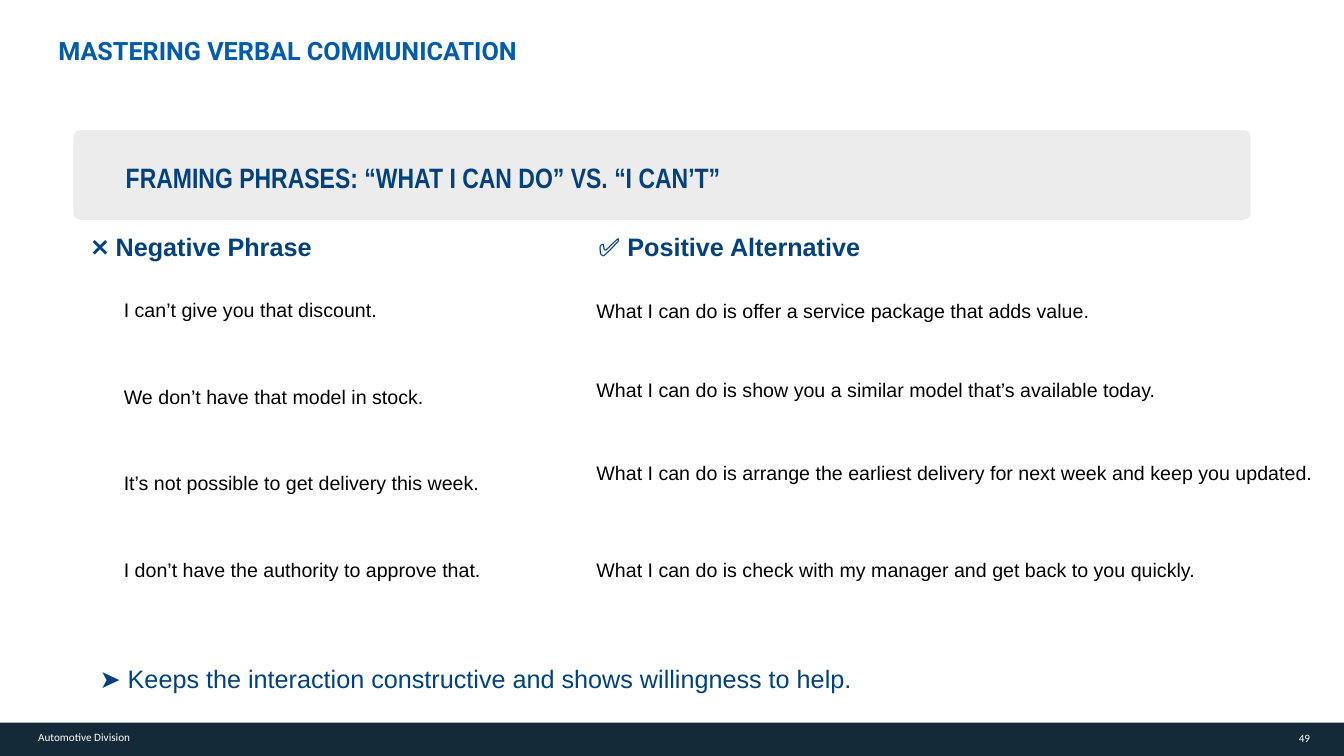
from dataclasses import dataclass

import pptx
import pptx.dml.color
import pptx.enum.shapes
import pptx.enum.text
import pptx.oxml.ns
import pptx.util
from lxml import etree

Cm = pptx.util.Cm
ANCHOR = pptx.enum.text.MSO_ANCHOR
ALIGN = pptx.enum.text.PP_ALIGN
SHAPES = pptx.enum.shapes.MSO_SHAPE


@dataclass(frozen=True)
class Style:
    """Font, size in points, colour and weight of a run."""
    font: str
    size: int
    color: str
    bold: bool = False


class Theme:
    """Colours and type styles of the slide."""
    footer_fill = "152A38"
    banner_fill = "808080"
    banner_opacity = 15
    title = Style("Roboto", 18, "005BAA", True)
    banner = Style("Arial Narrow", 20, "00417C", True)
    heading_mark = Style("Arial", 18, "00417C")
    heading = Style("Arial", 18, "00417C", True)
    phrase = Style("Arial", 14, "000000")
    takeaway = Style("Arial", 18, "00417C")
    footer = Style("Calibri", 8, "FFFFFF")


def rgb(color):
    """Turn a hex string into a colour."""
    return pptx.dml.color.RGBColor.from_string(color)


def add_runs(paragraph, runs):
    """Add (text, style) runs to a paragraph."""
    for text, style in runs:
        run = paragraph.add_run()
        run.text = text
        run.font.name = style.font
        run.font.size = pptx.util.Pt(style.size)
        run.font.bold = style.bold
        run.font.color.rgb = rgb(style.color)


def add_text(slide, box, text, style, anchor=ANCHOR.TOP, align=ALIGN.LEFT,
             inset=True, wrap=True):
    """Place one line of text in a box."""
    frame = slide.shapes.add_textbox(*map(Cm, box)).text_frame
    frame.word_wrap = wrap
    frame.vertical_anchor = anchor
    if not inset:
        frame.margin_left = frame.margin_right = 0
        frame.margin_top = frame.margin_bottom = 0
    frame.paragraphs[0].alignment = align
    add_runs(frame.paragraphs[0], [(text, style)])


def add_panel(slide, box, preset, color):
    """Place a plain filled shape."""
    panel = slide.shapes.add_shape(preset, *map(Cm, box))
    panel.shadow.inherit = False
    panel.fill.solid()
    panel.fill.fore_color.rgb = rgb(color)
    panel.line.fill.background()
    return panel


def add_column(slide, left, top, width, heights, rows, inset):
    """Place a one-column table without fills, with (across, down) cell insets."""
    table = slide.shapes.add_table(
        len(rows), 1, Cm(left), Cm(top), Cm(width), Cm(sum(heights))).table
    table.first_row = table.horz_banding = False
    across, down = map(Cm, inset)
    for row, height, runs in zip(table.rows, heights, rows):
        row.height = Cm(height)
        cell = row.cells[0]
        cell.fill.background()
        cell.vertical_anchor = ANCHOR.MIDDLE
        cell.margin_left = cell.margin_right = across
        cell.margin_top = cell.margin_bottom = down
        add_runs(cell.text_frame.paragraphs[0], runs)


def add_footer(slide, box, division, page):
    """Draw the footer bar with the division and page number."""
    left, top, width, height = box
    add_panel(slide, box, SHAPES.RECTANGLE, Theme.footer_fill)
    add_text(slide, (left + width - 1.21, top + 0.23, 0.36, 0.33), page,
             Theme.footer, ANCHOR.MIDDLE, ALIGN.RIGHT, inset=False, wrap=False)
    add_text(slide, (left + 0.71, top + 0.08, 3.07, 0.61), division,
             Theme.footer, wrap=False)


def add_banner(slide, box, text):
    """Draw the translucent rounded banner with its topic."""
    left, top, width, height = box
    panel = add_panel(slide, box, SHAPES.ROUNDED_RECTANGLE, Theme.banner_fill)
    panel.adjustments[0] = 0.08
    qn = pptx.oxml.ns.qn
    color = panel.fill._xPr.find(qn("a:solidFill")).find(qn("a:srgbClr"))
    etree.SubElement(color, qn("a:alpha"), val=str(Theme.banner_opacity * 1000))
    add_text(slide, (left + 1.07, top + 0.56, 18.64, 1.27), text,
             Theme.banner, ANCHOR.MIDDLE)


def add_phrases(slide, box, mark, heading, indent, heights, phrases):
    """Place a marked heading with its phrases below."""
    left, top, heading_width, phrase_width = box
    heading_height = 1.02
    add_column(slide, left, top, heading_width, [heading_height],
               [[(mark, Theme.heading_mark), (heading, Theme.heading)]],
               (0.25, 0.13))
    add_column(slide, left + indent, top + heading_height, phrase_width, heights,
               [[(phrase, Theme.phrase)] for phrase in phrases], (0.2, 0.1))


def main():
    """Build the slide and save it."""
    deck = pptx.Presentation()
    deck.slide_width, deck.slide_height = Cm(33.87), Cm(19.05)
    slide = deck.slides.add_slide(deck.slide_layouts[6])
    add_footer(slide, (0, 18.21, 33.87, 0.84), "Automotive Division", "49")
    add_text(slide, (1.47, 0.89, 30.25, 0.76), "MASTERING VERBAL COMMUNICATION",
             Theme.title, inset=False)
    add_text(slide, (2.26, 16.59, 30.25, 2.26),
             "➤ Keeps the interaction constructive and shows willingness to help.",
             Theme.takeaway)
    add_phrases(slide, (2.06, 5.72, 11.43, 13.59), "❌ ", "Negative Phrase",
                0.86, [2.18] * 4, [
                    "I can’t give you that discount.",
                    "We don’t have that model in stock.",
                    "It’s not possible to get delivery this week.",
                    "I don’t have the authority to approve that.",
                ])
    add_phrases(slide, (14.83, 5.72, 13.39, 19.04), "✅ ", "Positive Alternative",
                0, [2.21, 1.78, 2.39, 2.51], [
                    "What I can do is offer a service package that adds value.",
                    "What I can do is show you a similar model that’s available today.",
                    "What I can do is arrange the earliest delivery for next week"
                    " and keep you updated.",
                    "What I can do is check with my manager and get back to you quickly.",
                ])
    add_banner(slide, (1.85, 3.28, 29.67, 2.26),
               "FRAMING PHRASES: “WHAT I CAN DO” VS. “I CAN’T”")
    deck.save("out.pptx")


if __name__ == "__main__":
    main()
